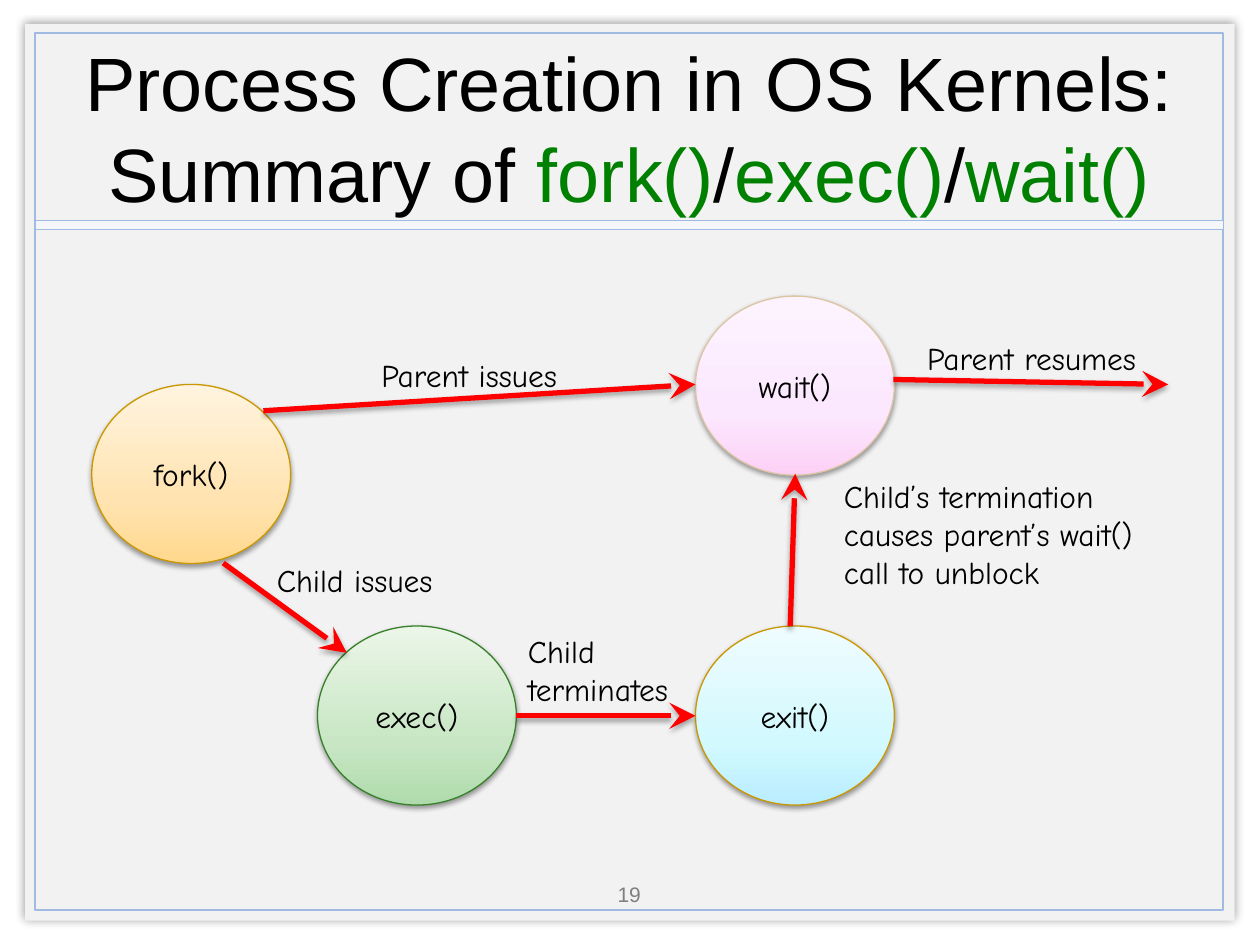
from copy import deepcopy

from lxml import etree
from pptx import Presentation
from pptx.dml.color import RGBColor
from pptx.enum.shapes import MSO_CONNECTOR, MSO_SHAPE
from pptx.enum.text import MSO_ANCHOR, MSO_AUTO_SIZE, PP_ALIGN
from pptx.oxml.ns import qn
from pptx.util import Cm, Pt

RECT, OVAL = MSO_SHAPE.RECTANGLE, MSO_SHAPE.OVAL
STRAIGHT = MSO_CONNECTOR.STRAIGHT
LEFT, CENTER = PP_ALIGN.LEFT, PP_ALIGN.CENTER
TOP, MIDDLE = MSO_ANCHOR.TOP, MSO_ANCHOR.MIDDLE
NO_FIT = MSO_AUTO_SIZE.NONE

BLACK = RGBColor(0x00, 0x00, 0x00)
GREEN = RGBColor(0x00, 0x80, 0x00)
RED = RGBColor(0xFF, 0x00, 0x00)
GREY = RGBColor(0x7F, 0x7F, 0x7F)
PANEL = RGBColor(0xF2, 0xF2, 0xF2)
BAND = RGBColor(0xF4, 0xF6, 0xF9)
FRAME = RGBColor(0xA0, 0xBA, 0xE1)
GOLD_LINE = RGBColor(0xCB, 0x97, 0x00)
GREEN_LINE = RGBColor(0x37, 0x80, 0x2A)
TAN_LINE = RGBColor(0xDD, 0xC5, 0xA4)
# Gradients run from the bottom of a circle to its top
ORANGES = (RGBColor(0xFF, 0xD8, 0x8D), RGBColor(0xFF, 0xE3, 0xB0), RGBColor(0xFF, 0xF4, 0xDF))
GREENS = (RGBColor(0xAF, 0xDB, 0xAC), RGBColor(0xC8, 0xE6, 0xC4), RGBColor(0xEB, 0xF6, 0xE8))
PINKS = (RGBColor(0xFC, 0xD0, 0xF6), RGBColor(0xFC, 0xE8, 0xFE), RGBColor(0xFD, 0xF3, 0xFF))
BLUES = (RGBColor(0xB9, 0xED, 0xFF), RGBColor(0xD2, 0xF9, 0xFE), RGBColor(0xEF, 0xFC, 0xFF))
STOPS = (0, 0.35, 1)


def write(tf, *runs, size=18, font="Comic Neue", align=LEFT, anchor=TOP, color=BLACK):
    """Fill a text frame with runs, each a string or a (string, colour) pair."""
    tf.word_wrap = True
    tf.auto_size = NO_FIT
    tf.vertical_anchor = anchor
    p = tf.paragraphs[0]
    p.alignment = align
    for run in runs:
        text, run_color = (run, color) if isinstance(run, str) else run
        r = p.add_run()
        r.text = text
        r.font.size = Pt(size)
        r.font.name = font
        r.font.color.rgb = run_color


def add_shadow(sp, alpha, blur, dist):
    """Give a shape a black downward shadow; alpha in percent, lengths in points."""
    effects = etree.SubElement(sp.element.spPr, qn("a:effectLst"))
    shadow = etree.SubElement(effects, qn("a:outerShdw"), blurRad=str(Pt(blur)),
                              dist=str(Pt(dist)), dir="5400000", rotWithShape="0")
    black = etree.SubElement(shadow, qn("a:srgbClr"), val="000000")
    etree.SubElement(black, qn("a:alpha"), val=str(alpha * 1000))


prs = Presentation()
prs.slide_width, prs.slide_height = Cm(25.4), Cm(19.05)
s = prs.slides.add_slide(prs.slide_layouts[5])

# Panel, frame and the band under the title
panel = s.shapes.add_shape(RECT, Cm(0.51), Cm(0.48), Cm(24.38), Cm(18.08))
panel.fill.solid()
panel.fill.fore_color.rgb = PANEL
panel.line.fill.background()
add_shadow(panel, 40, 5, 0)

frame = s.shapes.add_shape(RECT, Cm(0.71), Cm(0.66), Cm(23.95), Cm(17.68))
frame.fill.background()
frame.line.width = Pt(1)

band = s.shapes.add_shape(RECT, Cm(0.71), Cm(4.45), Cm(23.95), Cm(0.18))
band.fill.solid()
band.fill.fore_color.rgb = BAND
band.line.width = Pt(0.25)

for sp in (frame, band):
    sp.line.color.rgb = FRAME
    sp.shadow.inherit = False

# Title, lifted above the panel
title = s.shapes.title
title.left, title.top, title.width, title.height = Cm(0.71), Cm(0.69), Cm(23.95), Cm(3.73)
write(title.text_frame, "Process Creation in OS Kernels: Summary of ",
      ("fork()", GREEN), "/", ("exec()", GREEN), "/", ("wait()", GREEN),
      size=43.2, font="Arial", align=CENTER, anchor=MIDDLE)
band.element.addnext(title.element)

number = s.shapes.add_textbox(Cm(11.63), Cm(17.65), Cm(2.11), Cm(0.76))
write(number.text_frame, "19", size=12, font="Arial", align=CENTER, anchor=MIDDLE, color=GREY)

# System calls
calls = [
    ("fork()", 1.85, 7.75, ORANGES, GOLD_LINE),
    ("exec()", 6.4, 12.62, GREENS, GREEN_LINE),
    ("wait()", 14.02, 5.97, PINKS, TAN_LINE),
    ("exit()", 14.02, 12.62, BLUES, GOLD_LINE),
]
for name, x, y, colors, outline in calls:
    sp = s.shapes.add_shape(OVAL, Cm(x), Cm(y), Cm(4.01), Cm(3.61))
    sp.fill.gradient()
    sp.fill.gradient_angle = 90
    first = sp.element.spPr.find(".//" + qn("a:gs"))
    first.addnext(deepcopy(first))
    for stop, position, color in zip(sp.fill.gradient_stops, STOPS, colors):
        stop.position = position
        stop.color.rgb = color
    sp.line.color.rgb = outline
    sp.line.width = Pt(0.75)
    add_shadow(sp, 38, 3.1, 1.6)
    write(sp.text_frame, name, align=CENTER, anchor=MIDDLE)

# Arrows between the calls
arrows = [
    (5.31, 8.28, 14.02, 7.75),
    (4.5, 11.35, 6.99, 13.16),
    (10.41, 14.43, 14.02, 14.43),
    (15.93, 12.62, 16.03, 9.55),
    (18.01, 7.65, 23.55, 7.75),
]
for ends in arrows:
    arrow = s.shapes.add_connector(STRAIGHT, *map(Cm, ends))
    arrow.line.color.rgb = RED
    arrow.line.width = Pt(3)
    etree.SubElement(arrow.element.spPr.find(qn("a:ln")), qn("a:tailEnd"),
                     type="stealth", w="lg", len="lg")
    add_shadow(arrow, 35, 3.1, 1.8)

# Labels beside the arrows
labels = [
    ("Parent issues", 7.44, 7.06, 5.1, 1.02),
    ("Child issues", 5.33, 11.18, 5.1, 1.02),
    ("Parent resumes", 18.44, 6.71, 5.1, 1.02),
    ("Child terminates", 10.39, 12.62, 3.84, 1.8),
    ("Child’s termination causes parent’s wait() call to unblock", 16.76, 9.5, 6.78, 2.57),
]
for text, *box in labels:
    label = s.shapes.add_textbox(*map(Cm, box))
    write(label.text_frame, text)

prs.save("out.pptx")
